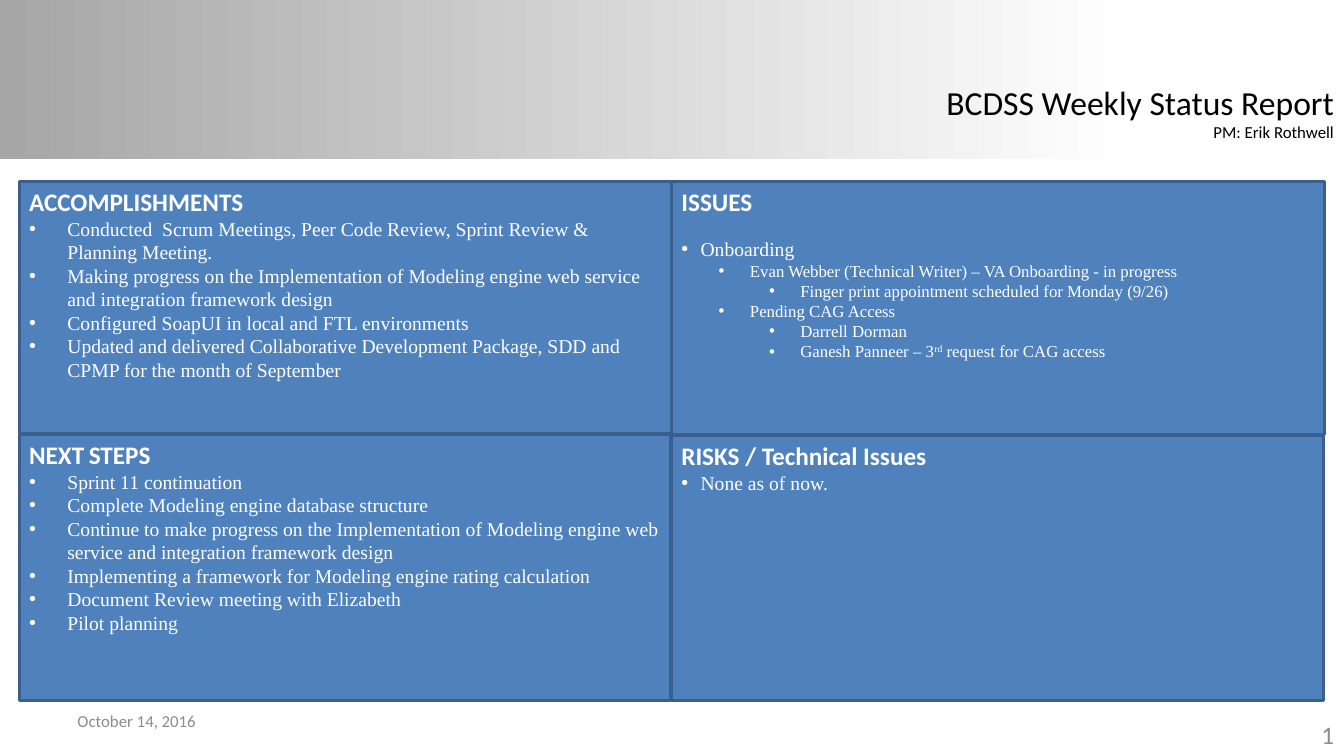
from lxml.etree import SubElement
from pptx import Presentation
from pptx.dml.color import RGBColor
from pptx.enum.shapes import MSO_SHAPE as Shape
from pptx.enum.text import MSO_ANCHOR as Anchor, MSO_AUTO_SIZE as AutoSize, PP_ALIGN as Align
from pptx.oxml.ns import qn
from pptx.util import Inches, Pt

COLORS = {
    "black": "000000", "white": "FFFFFF", "gray": "8C8C8C",
    "banner": "A6A6A6", "panel": "4F81BD", "border": "3A5F8C",
}
HEADING = {"size": Pt(18), "name": "Calibri", "bold": True}
BODY = {"size": Pt(14), "name": "Times New Roman", "bold": False}
DETAIL = {**BODY, "size": Pt(12)}
TITLE = {"size": Pt(24), "name": "Calibri"}
SMALL = {**TITLE, "size": Pt(12)}
NUMBER = {**TITLE, "size": Pt(18)}

WIDE = (0, 0.38, 0.38, BODY)
NARROW = (0, 0.19, 0.19, BODY)
SECOND = (1, 0.68, 0.31, DETAIL)
THIRD = (2, 1.18, 0.31, DETAIL)

PANELS = [
    ((0.19, 1.8, 6.47, 2.5), ["ACCOMPLISHMENTS"], 0, [
        (WIDE, "Conducted  Scrum Meetings, Peer Code Review, Sprint Review & Planning Meeting."),
        (WIDE, "Making progress on the Implementation of Modeling engine web service and integration framework design"),
        (WIDE, "Configured SoapUI in local and FTL environments"),
        (WIDE, "Updated and delivered Collaborative Development Package, SDD and CPMP for the month of September"),
    ]),
    ((0.19, 4.31, 6.46, 2.64), ["NEXT", " ", "STEPS"], 0, [
        (WIDE, "Sprint 11 continuation"),
        (WIDE, "Complete Modeling engine database structure"),
        (WIDE, "Continue to make progress on the Implementation of Modeling engine web service and integration framework design"),
        (WIDE, "Implementing a framework for Modeling engine rating calculation"),
        (WIDE, "Document Review meeting with Elizabeth"),
        (WIDE, "Pilot planning"),
    ]),
    ((6.66, 1.8, 6.48, 2.51), ["ISSUES"], 14.5, [
        (NARROW, "Onboarding"),
        (SECOND, "Evan Webber (Technical Writer) – VA Onboarding - in progress"),
        (THIRD, "Finger print appointment scheduled for Monday (9/26)"),
        (SECOND, "Pending CAG Access"),
        (THIRD, "Darrell Dorman"),
        (THIRD, "Ganesh Panneer – 3", "rd", " request for CAG access"),
    ]),
    ((6.66, 4.32, 6.47, 2.63), ["RISKS / Technical Issues"], 0, [
        (NARROW, "None as of now."),
    ]),
]

LABELS = [
    ((9.25, 0.76, 4.08, 0.71), Anchor.TOP, Align.RIGHT, "black", False,
     [("BCDSS Weekly Status Report", TITLE), ("PM: Erik Rothwell", SMALL)]),
    ((0.67, 6.95, 3.11, 0.4), Anchor.MIDDLE, Align.LEFT, "gray", True,
     [("October 14, 2016", SMALL)]),
    ((10.22, 7.09, 3.11, 0.4), Anchor.MIDDLE, Align.RIGHT, "gray", True,
     [("1", NUMBER)]),
]


def rgb(name):
    return RGBColor.from_string(COLORS[name])


def add_run(paragraph, text, style, color):
    run = paragraph.add_run()
    run.text = text
    for key, value in style.items():
        setattr(run.font, key, value)
    run.font.color.rgb = rgb(color)
    return run


def add_rectangle(slide, box):
    shape = slide.shapes.add_shape(Shape.RECTANGLE, *map(Inches, box))
    shape.shadow.inherit = False
    return shape


def add_banner(slide):
    banner = add_rectangle(slide, (0, 0, 13.33, 1.58))
    banner.line.fill.background()
    banner.fill.gradient()
    banner.fill.gradient_angle = 0
    stops = zip(banner.fill.gradient_stops, [(0, "banner"), (0.84, "white")])
    for stop, (position, color) in stops:
        stop.position = position
        stop.color.rgb = rgb(color)


def add_bullet(frame, layout, texts):
    level, margin, hanging, style = layout
    paragraph = frame.add_paragraph()
    paragraph.alignment = Align.LEFT
    paragraph.level = level
    properties = paragraph._p.get_or_add_pPr()
    properties.set("marL", str(Inches(margin)))
    properties.set("indent", str(-Inches(hanging)))
    SubElement(properties, qn("a:buFont")).set("typeface", "Arial")
    SubElement(properties, qn("a:buChar")).set("char", "•")
    for text in texts:
        run = add_run(paragraph, text, style, "white")
        if text == "rd":
            run._r.get_or_add_rPr().set("baseline", "30000")
    return paragraph


def add_panel(slide, box, heading, gap, bullets):
    panel = add_rectangle(slide, box)
    panel.fill.solid()
    panel.fill.fore_color.rgb = rgb("panel")
    panel.line.color.rgb = rgb("border")
    panel.line.width = Pt(2)
    frame = panel.text_frame
    frame.word_wrap = True
    frame.vertical_anchor = Anchor.TOP
    title = frame.paragraphs[0]
    title.alignment = Align.LEFT
    for text in heading:
        style = {**HEADING, "size": Pt(14)} if text == " " else HEADING
        add_run(title, text, style, "white")
    for layout, *texts in bullets:
        add_bullet(frame, layout, texts)
    frame.paragraphs[1].space_before = Pt(gap)


def add_label(slide, box, anchor, alignment, color, wrap, lines):
    frame = slide.shapes.add_textbox(*map(Inches, box)).text_frame
    frame.word_wrap = wrap
    frame.auto_size = AutoSize.NONE if wrap else AutoSize.SHAPE_TO_FIT_TEXT
    frame.vertical_anchor = anchor
    for index, (text, style) in enumerate(lines):
        paragraph = frame.add_paragraph() if index else frame.paragraphs[0]
        paragraph.alignment = alignment
        add_run(paragraph, text, style, color)


def main():
    presentation = Presentation()
    presentation.slide_width = Inches(13.33)
    presentation.slide_height = Inches(7.5)
    slide = presentation.slides.add_slide(presentation.slide_layouts[6])
    add_banner(slide)
    for panel in PANELS:
        add_panel(slide, *panel)
    for label in LABELS:
        add_label(slide, *label)
    presentation.save("out.pptx")


if __name__ == "__main__":
    main()
